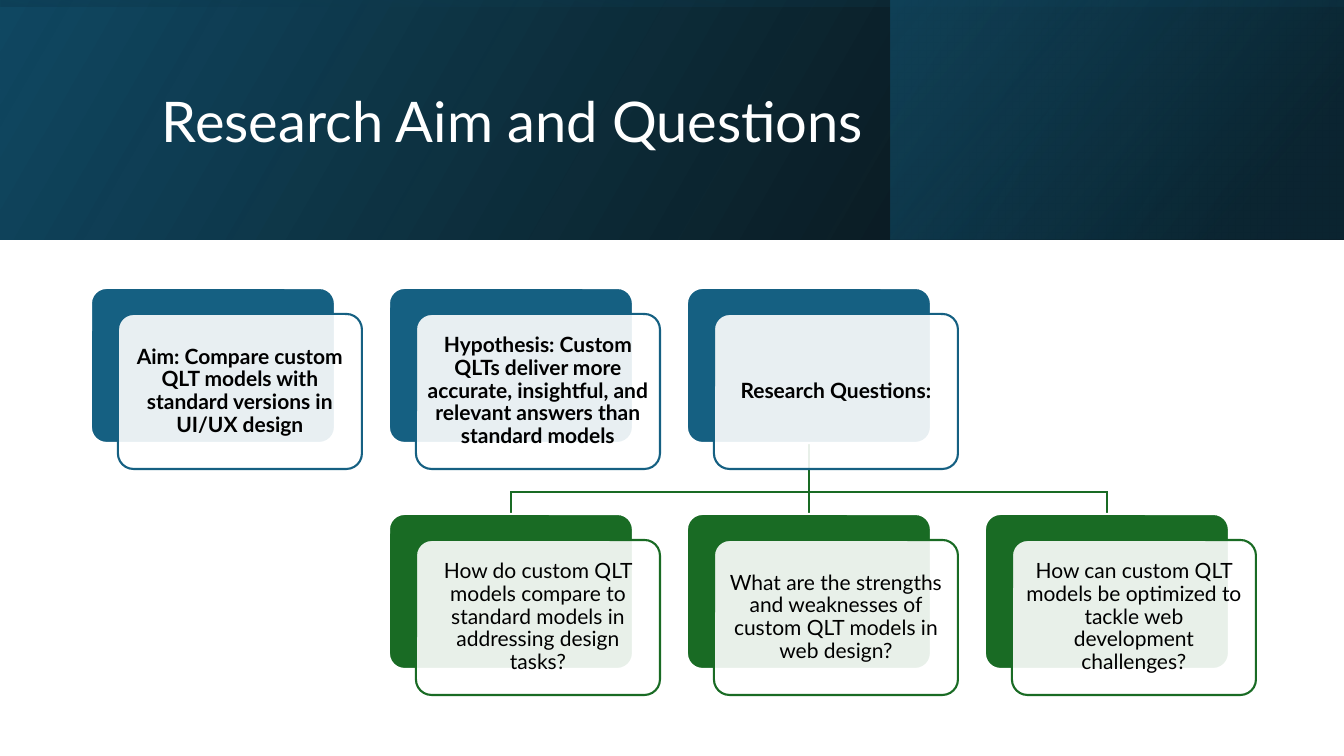
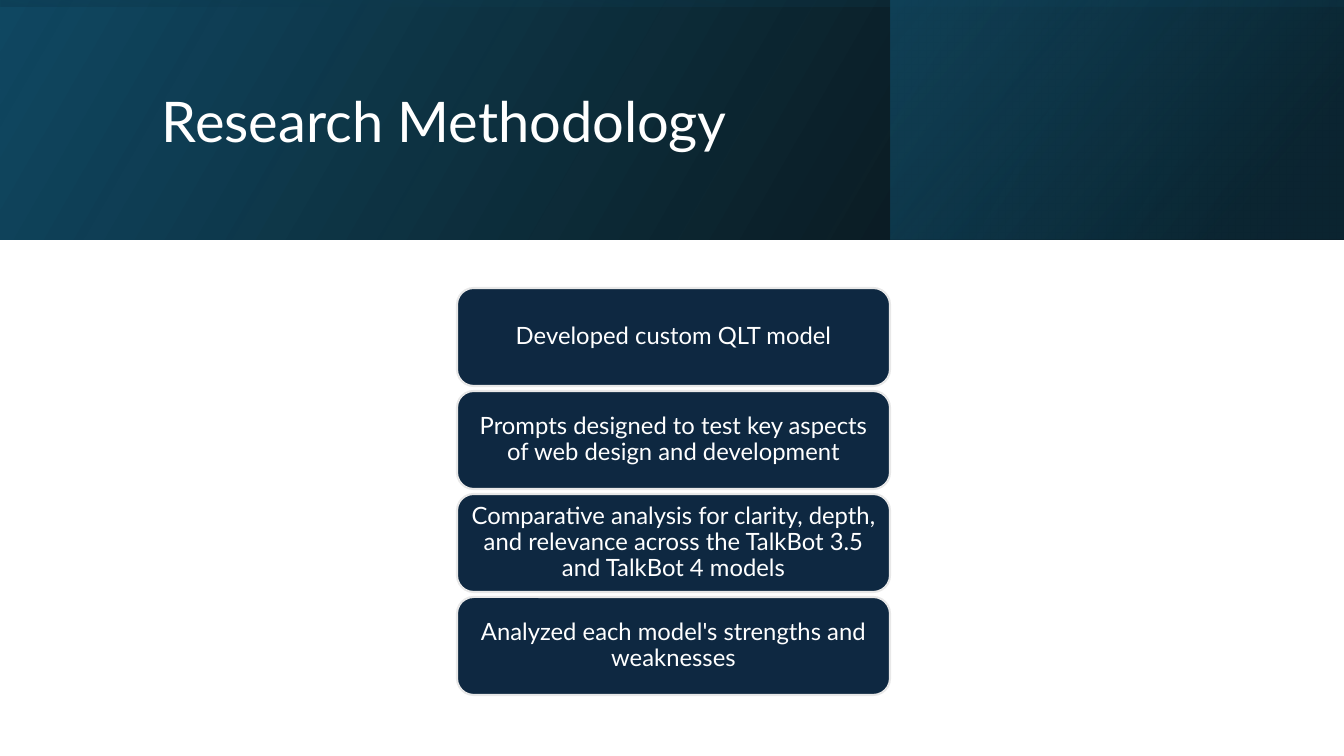
from dataclasses import dataclass
from typing import Any, NamedTuple

from lxml.etree import SubElement
from pptx import Presentation
from pptx.dml.color import RGBColor as Rgb
from pptx.enum.shapes import MSO_CONNECTOR as Connector
from pptx.enum.shapes import MSO_SHAPE as Preset
from pptx.enum.text import MSO_ANCHOR as Anchor
from pptx.enum.text import PP_ALIGN as Align
from pptx.oxml.ns import qn
from pptx.util import Emu, Pt

EMU_PER_PX = 914400 / 100.8


@dataclass(frozen=True)
class Theme:
    font: str = "Lato"
    white: str = "FFFFFF"
    black: str = "000000"
    teal: str = "156082"
    green: str = "196B24"
    navy: str = "0E2841"
    pale: str = "E8E8E8"
    band_blue: str = "104862"
    band_deep: str = "0B3041"
    title_size: int = 40
    card_size: int = 15
    step_size: int = 17
    line_width: float = 1.5
    line_spacing: float = 0.9


class Box(NamedTuple):
    left: int
    top: int
    width: int
    height: int

    def moved(self, across: int, down: int) -> "Box":
        return Box(self.left + across, self.top + down, self.width, self.height)


class Stop(NamedTuple):
    position: int
    color: str
    alpha: int


class Band(NamedTuple):
    box: Box
    angle: int
    stops: tuple[Stop, Stop]
    rotation: int = 0


class Card(NamedTuple):
    column: int
    row: int
    text: str


class Point(NamedTuple):
    x: int
    y: int


THEME = Theme()
PAGE_WIDTH, PAGE_HEIGHT = 1344, 756
BAND_HEIGHT = 240
SIDE_LEFT = 891
BAND_SHIFT = (PAGE_WIDTH - BAND_HEIGHT) // 2
BANDS = (
    Band(Box(0, 0, PAGE_WIDTH, BAND_HEIGHT), 30,
         (Stop(0, THEME.black, 96), Stop(100, THEME.band_blue, 100))),
    Band(Box(SIDE_LEFT, 0, PAGE_WIDTH - SIDE_LEFT, BAND_HEIGHT), 40,
         (Stop(19, THEME.band_deep, 68), Stop(100, THEME.teal, 48))),
    Band(Box(BAND_SHIFT, -BAND_SHIFT, BAND_HEIGHT, PAGE_WIDTH), 10,
         (Stop(23, THEME.band_blue, 16), Stop(99, THEME.black, 45)), 270),
)
TITLE_BOX = Box(152, 38, 1071, 173)
TITLE_INSETS = (10, 5)

FIRST_CARD = Box(91, 288, 244, 155)
CARD_PITCH = (298, 226)
PANEL_SHIFT = (27, 26)
CARD_INSETS = (6, 6)
CARD_CORNER = 0.1
PANEL_ALPHA = 90
BRANCH_Y = 492
ROW_COLORS = (THEME.teal, THEME.green)
PARENT_COLUMN = 2
CARDS = (
    Card(0, 0, "Aim: Compare custom QLT models with standard versions in UI/UX design"),
    Card(1, 0, "Hypothesis: Custom QLTs deliver more accurate, insightful, and "
               "relevant answers than standard models"),
    Card(PARENT_COLUMN, 0, "Research Questions:"),
    Card(1, 1, "How do custom QLT models compare to standard models in "
               "addressing design tasks?"),
    Card(2, 1, "What are the strengths and weaknesses of custom QLT models in web design?"),
    Card(3, 1, "How can custom QLT models be optimized to tackle web "
               "development challenges?"),
)

FIRST_STEP = Box(457, 288, 433, 98)
STEP_PITCH = 103
STEP_INSETS = (7, 4)
STEP_CORNER = 0.17
STEPS = (
    "Developed custom QLT model",
    "Prompts designed to test key aspects of web design and development",
    "Comparative analysis for clarity, depth, and relevance across the "
    "TalkBot 3.5 and TalkBot 4 models",
    "Analyzed each model's strengths and weaknesses",
)


def px(length: int) -> Emu:
    return Emu(round(length * EMU_PER_PX))


def apply(target: Any, formats: dict[str, Any]) -> None:
    for name, value in formats.items():
        setattr(target, name, value)


def set_alpha(color_element: Any, percent: int) -> None:
    if percent < 100:
        SubElement(color_element, qn("a:alpha"), val=str(percent * 1000))


def set_line(line: Any, color: str) -> None:
    line.color.rgb = Rgb.from_string(color)
    line.width = Pt(THEME.line_width)


def write_text(shape: Any, text: str, size: int, color: str,
               insets: tuple[int, int], align: Align = Align.CENTER,
               bold: bool = False) -> None:
    across, down = map(px, insets)
    frame = shape.text_frame
    apply(frame, {
        "word_wrap": True, "vertical_anchor": Anchor.MIDDLE,
        "margin_left": across, "margin_right": across,
        "margin_top": down, "margin_bottom": down,
    })
    para = frame.paragraphs[0]
    apply(para, {"alignment": align, "line_spacing": THEME.line_spacing})
    span = para.add_run()
    span.text = text
    apply(span.font, {"name": THEME.font, "size": Pt(size), "bold": bold})
    span.font.color.rgb = Rgb.from_string(color)


def add_preset(page: Any, preset: Preset, box: Box) -> Any:
    shape = page.shapes.add_shape(preset, *map(px, box))
    shape.shadow.inherit = False
    return shape


def add_rounded(page: Any, box: Box, corner: float, fill: str, line: str,
                alpha: int = 100) -> Any:
    shape = add_preset(page, Preset.ROUNDED_RECTANGLE, box)
    shape.adjustments[0] = corner
    shape.fill.solid()
    shape.fill.fore_color.rgb = Rgb.from_string(fill)
    set_alpha(shape._element.spPr.find(qn("a:solidFill"))[0], alpha)
    set_line(shape.line, line)
    return shape


def add_band(page: Any, band: Band) -> None:
    """Draw a mirrored gradient rectangle; the angle runs counter-clockwise."""
    shape = add_preset(page, Preset.RECTANGLE, band.box)
    shape.rotation = band.rotation
    properties = shape._element.spPr
    properties.find(qn("a:xfrm")).set("flipH", "1")
    shape.line.fill.background()
    shape.fill.gradient()
    shape.fill.gradient_angle = band.angle
    for target, stop in zip(shape.fill.gradient_stops, band.stops):
        target.position = stop.position / 100
        target.color.rgb = Rgb.from_string(stop.color)
    colors = properties.find(qn("a:gradFill")).iter(qn("a:srgbClr"))
    for color, stop in zip(list(colors), band.stops):
        set_alpha(color, stop.alpha)


def add_page(deck: Any, title: str) -> Any:
    """Add a blank page with the header bands and its title."""
    page = deck.slides.add_slide(deck.slide_layouts[6])
    for band in BANDS:
        add_band(page, band)
    title_box = page.shapes.add_textbox(*map(px, TITLE_BOX))
    write_text(title_box, title, THEME.title_size, THEME.white, TITLE_INSETS, Align.LEFT)
    return page


def add_line(page: Any, start: Point, end: Point) -> None:
    """Draw a line with square caps, so that corners close."""
    connector = page.shapes.add_connector(Connector.STRAIGHT, *map(px, (*start, *end)))
    set_line(connector.line, THEME.green)
    properties = connector._element.spPr
    properties.find(qn("a:ln")).set("cap", "sq")
    SubElement(properties, qn("a:effectLst"))


def card_box(column: int, row: int) -> Box:
    return FIRST_CARD.moved(column * CARD_PITCH[0], row * CARD_PITCH[1])


def add_branches(page: Any) -> None:
    """Join the parent card to every card of the second row."""
    children = [card_box(card.column, card.row) for card in CARDS if card.row == 1]
    centers = [child.left + child.width // 2 for child in children]
    parent = card_box(PARENT_COLUMN, 0)
    trunk_x = parent.left + parent.width // 2
    add_line(page, Point(trunk_x, parent.top + parent.height), Point(trunk_x, BRANCH_Y))
    add_line(page, Point(centers[0], BRANCH_Y), Point(centers[-1], BRANCH_Y))
    for center, child in zip(centers, children):
        add_line(page, Point(center, BRANCH_Y), Point(center, child.top))


def add_card(page: Any, card: Card) -> None:
    box = card_box(card.column, card.row)
    color = ROW_COLORS[card.row]
    add_rounded(page, box, CARD_CORNER, color, THEME.white)
    panel = add_rounded(page, box.moved(*PANEL_SHIFT), CARD_CORNER,
                        THEME.white, color, PANEL_ALPHA)
    write_text(panel, card.text, THEME.card_size, THEME.black, CARD_INSETS,
               bold=card.row == 0)


def add_questions_page(deck: Any) -> None:
    page = add_page(deck, "Research Aim and Questions")
    add_branches(page)
    for card in CARDS:
        add_card(page, card)


def add_methodology_page(deck: Any) -> None:
    page = add_page(deck, "Research Methodology")
    for index, text in enumerate(STEPS):
        step = add_rounded(page, FIRST_STEP.moved(0, index * STEP_PITCH),
                           STEP_CORNER, THEME.navy, THEME.pale)
        write_text(step, text, THEME.step_size, THEME.white, STEP_INSETS)


def main() -> None:
    deck = Presentation()
    apply(deck, {"slide_width": px(PAGE_WIDTH), "slide_height": px(PAGE_HEIGHT)})
    add_questions_page(deck)
    add_methodology_page(deck)
    deck.save("out.pptx")


if __name__ == "__main__":
    main()
